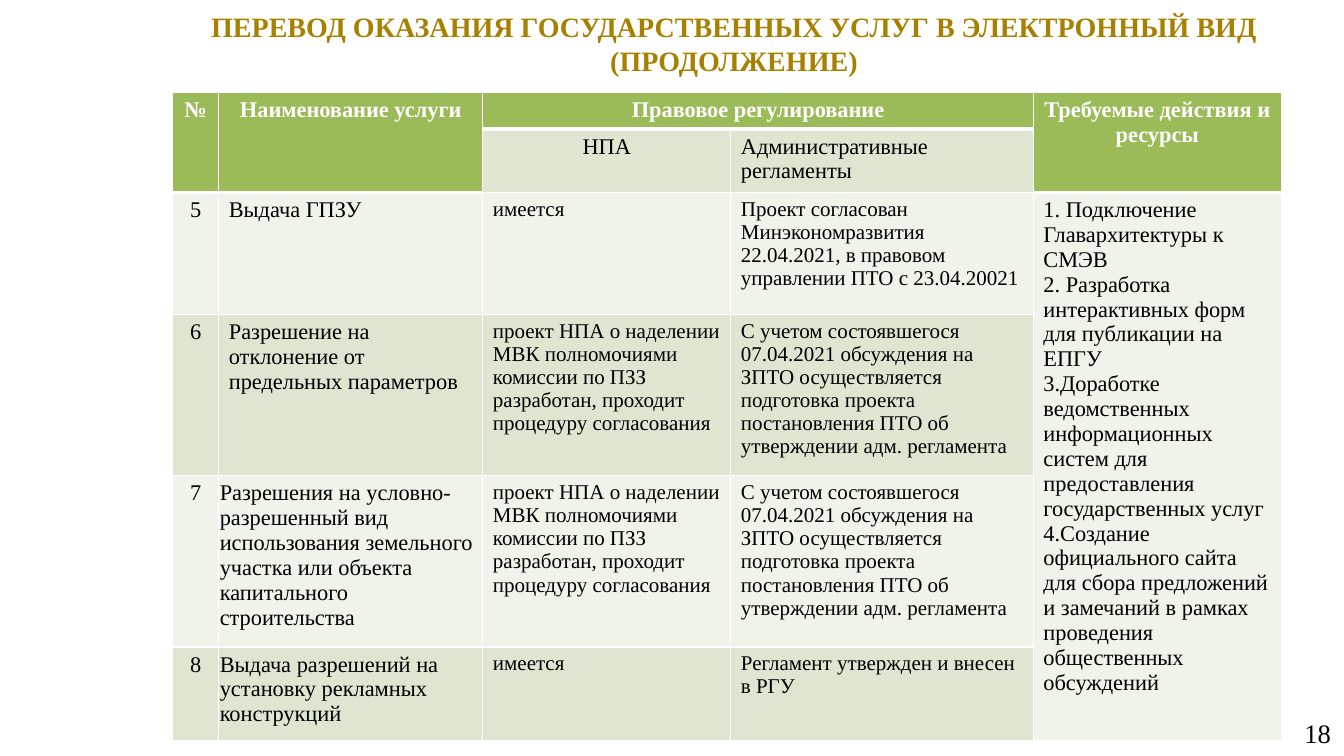
from lxml.etree import SubElement
from pptx import Presentation
from pptx.dml.color import RGBColor
from pptx.enum.text import MSO_ANCHOR as Anchor, MSO_AUTO_SIZE as AutoSize, PP_ALIGN as Align
from pptx.oxml.ns import qn
from pptx.util import Inches, Pt

WHITE = RGBColor(0xFF, 0xFF, 0xFF)
BLACK = RGBColor(0, 0, 0)
GOLD = RGBColor(0xA8, 0x80, 0)
GREEN = RGBColor(0x9B, 0xBB, 0x59)
BANDS = [RGBColor(0xEF, 0xF3, 0xE9), RGBColor(0xDE, 0xE6, 0xD1)]

COLUMN_SHARES = [3.45, 19.65, 18.45, 22.51, 18.45]
ROW_SHARES = [4.8, 8.4, 16.13, 21.33, 22.67, 12.4]
HEADER_DEPTHS = [2, 2, 1, 1, 2]
MERGES = [(0, 0, 1, 0), (0, 1, 1, 1), (0, 2, 0, 3), (0, 4, 1, 4), (2, 4, 5, 4)]
THIN, THICK = Pt(0.96), Pt(3)

DRAFT_ACT = ("проект НПА о наделении МВК полномочиями комиссии по ПЗЗ разработан, "
             "проходит процедуру согласования")
DRAFT_RULES = ("С учетом состоявшегося 07.04.2021 обсуждения на ЗПТО осуществляется подготовка "
               "проекта постановления ПТО об утверждении адм. регламента")
ACTIONS = "\n".join([
    "1. Подключение Главархитектуры к СМЭВ",
    "2. Разработка интерактивных форм для публикации на ЕПГУ",
    "3.Доработке ведомственных информационных систем для предоставления государственных услуг",
    "4.Создание официального сайта для сбора предложений и замечаний в рамках проведения "
    "общественных обсуждений",
])
SERVICES = [
    ["№", "Наименование услуги", "Правовое регулирование", "", "Требуемые действия и ресурсы"],
    ["", "", "НПА", "Административные регламенты", ""],
    ["5", "Выдача ГПЗУ", "имеется",
     "Проект согласован Минэкономразвития 22.04.2021, в правовом управлении ПТО с 23.04.20021",
     ACTIONS],
    ["6", "Разрешение на отклонение от предельных параметров", DRAFT_ACT, DRAFT_RULES, ""],
    ["7", "Разрешения на условно-разрешенный вид использования земельного участка или объекта "
          "капитального строительства", DRAFT_ACT, DRAFT_RULES, ""],
    ["8", "Выдача разрешений на установку рекламных конструкций", "имеется",
     "Регламент утвержден и внесен в РГУ", ""],
]


def write(frame, text, size=16, color=BLACK, bold=False, align=Align.LEFT):
    frame.text = text
    for para in frame.paragraphs:
        para.alignment = align
        for span in para.runs:
            span.font.name = "Times New Roman"
            span.font.size = Pt(size)
            span.font.bold = bold
            span.font.color.rgb = color


class SlideBuilder:
    def __init__(self, deck):
        self.deck = deck
        self.page = deck.slides.add_slide(deck.slide_layouts[5])

    def across(self, percent):
        return round(self.deck.slide_width * percent / 100)

    def down(self, percent):
        return round(self.deck.slide_height * percent / 100)

    def area(self, left, top, width, height):
        return self.across(left), self.down(top), self.across(width), self.down(height)

    def fill_box(self, box, text, **style):
        frame = box.text_frame
        frame.word_wrap = True
        frame.auto_size = AutoSize.NONE
        frame.vertical_anchor = Anchor.MIDDLE
        frame.margin_left = frame.margin_right = Inches(0.13)
        frame.margin_top = frame.margin_bottom = Inches(0.07)
        write(frame, text, **style)

    def title(self, text, area, **style):
        box = self.page.shapes.title
        box.left, box.top, box.width, box.height = self.area(*area)
        self.fill_box(box, text, **style)

    def text(self, text, area, **style):
        self.fill_box(self.page.shapes.add_textbox(*self.area(*area)), text, **style)

    def borders(self, cell, top, bottom):
        properties = cell._tc.get_or_add_tcPr()
        for side, width in (("L", THIN), ("R", THIN), ("T", top), ("B", bottom)):
            line = SubElement(properties, qn(f"a:ln{side}"), w=str(width))
            SubElement(SubElement(line, qn("a:solidFill")), qn("a:srgbClr"), val=str(WHITE))

    def style_cell(self, cell, row, column, text):
        depth = HEADER_DEPTHS[column]
        header = row < depth
        self.borders(cell, THICK if row == depth else THIN, THICK if header else THIN)
        cell.fill.solid()
        cell.fill.fore_color.rgb = GREEN if header else BANDS[row % 2]
        if column == 1 and row >= 4:
            cell.margin_left = cell.margin_right = Inches(0.01)
        if text:
            centred = header or column == 0 or (row, column) == (1, 2)
            write(cell.text_frame, text, size=15 if row >= 2 and column in (2, 3) else 16,
                  color=WHITE if header else BLACK, bold=header,
                  align=Align.CENTER if centred else Align.LEFT)

    def table(self, rows, left, top):
        area = self.area(left, top, sum(COLUMN_SHARES), sum(ROW_SHARES))
        table = self.page.shapes.add_table(len(rows), len(COLUMN_SHARES), *area).table
        for column, share in zip(table.columns, COLUMN_SHARES):
            column.width = self.across(share)
        for row, share in zip(table.rows, ROW_SHARES):
            row.height = self.down(share)
        for first_row, first_column, last_row, last_column in MERGES:
            table.cell(first_row, first_column).merge(table.cell(last_row, last_column))
        for row, texts in enumerate(rows):
            for column, text in enumerate(texts):
                self.style_cell(table.cell(row, column), row, column, text)


def main():
    deck = Presentation()
    deck.slide_width, deck.slide_height = Inches(13.33), Inches(7.5)
    builder = SlideBuilder(deck)
    builder.text("18", (76.67, 94.27, 23.33, 5.33), size=19, align=Align.RIGHT)
    builder.title("ПЕРЕВОД ОКАЗАНИЯ ГОСУДАРСТВЕННЫХ УСЛУГ В ЭЛЕКТРОННЫЙ ВИД (ПРОДОЛЖЕНИЕ)",
                  (11.7, -0.93, 85.82, 13.33), size=20, color=GOLD, bold=True, align=Align.CENTER)
    builder.table(SERVICES, 12.83, 12.27)
    deck.save("out.pptx")


if __name__ == "__main__":
    main()
